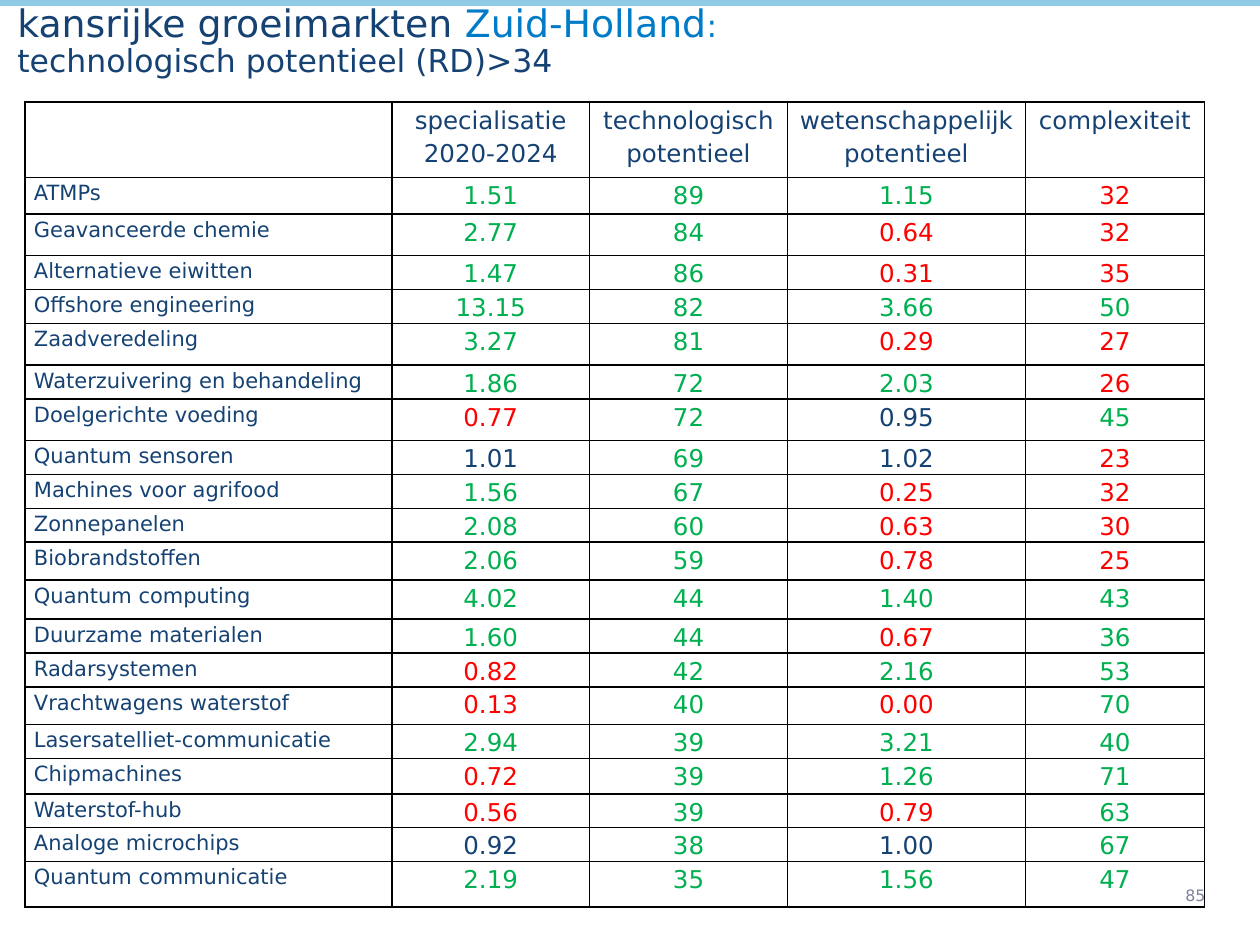
import dataclasses

import pptx
import pptx.dml.color
import pptx.enum.shapes
import pptx.enum.text
import pptx.oxml
import pptx.oxml.ns
import pptx.util

Inches = pptx.util.Inches
Pt = pptx.util.Pt
ALIGN = pptx.enum.text.PP_ALIGN
ANCHOR = pptx.enum.text.MSO_ANCHOR


@dataclasses.dataclass(frozen=True)
class Theme:
    font: str = "DejaVu Sans"
    navy: str = "154273"
    blue: str = "007BC7"
    sky: str = "8FCAE7"
    green: str = "00B050"
    red: str = "FF0000"
    grey: str = "7A839A"
    border: str = "000000"
    title: float = 21.6
    subtitle: float = 18
    value: float = 14
    label: float = 12
    page: float = 9


HEADERS = ["", "specialisatie 2020-2024", "technologisch potentieel",
           "wetenschappelijk potentieel", "complexiteit"]
MARKETS = [
    ("ATMPs", "1.51", "89", "1.15", "32"),
    ("Geavanceerde chemie", "2.77", "84", "0.64", "32"),
    ("Alternatieve eiwitten", "1.47", "86", "0.31", "35"),
    ("Offshore engineering", "13.15", "82", "3.66", "50"),
    ("Zaadveredeling", "3.27", "81", "0.29", "27"),
    ("Waterzuivering en behandeling", "1.86", "72", "2.03", "26"),
    ("Doelgerichte voeding", "0.77", "72", "0.95", "45"),
    ("Quantum sensoren", "1.01", "69", "1.02", "23"),
    ("Machines voor agrifood", "1.56", "67", "0.25", "32"),
    ("Zonnepanelen", "2.08", "60", "0.63", "30"),
    ("Biobrandstoffen", "2.06", "59", "0.78", "25"),
    ("Quantum computing", "4.02", "44", "1.40", "43"),
    ("Duurzame materialen", "1.60", "44", "0.67", "36"),
    ("Radarsystemen", "0.82", "42", "2.16", "53"),
    ("Vrachtwagens waterstof", "0.13", "40", "0.00", "70"),
    ("Lasersatelliet-communicatie", "2.94", "39", "3.21", "40"),
    ("Chipmachines", "0.72", "39", "1.26", "71"),
    ("Waterstof-hub", "0.56", "39", "0.79", "63"),
    ("Analoge microchips", "0.92", "38", "1.00", "67"),
    ("Quantum communicatie", "2.19", "35", "1.56", "47"),
]
COL_WIDTHS = [2.91, 1.57, 1.57, 1.89, 1.42]
ROW_HEIGHTS = [0.6, 0.29, 0.33, 0.25, 0.27, 0.33, 0.27, 0.33, 0.22, 0.15, 0.26,
               0.3, 0.31, 0.16, 0.27, 0.3, 0.27, 0.28, 0.12, 0.17, 0.36]
# Per value column: red up to the first bound, green above the second
BOUNDS = [(0.9, 1.1), (34, 34), (0.9, 1.1), (35, 35)]


class SlideBuilder:
    def __init__(self, slide, theme):
        self.s = slide
        self.theme = theme

    def style(self, r, size, color):
        r.font.name = self.theme.font
        r.font.size = Pt(size)
        r.font.color.rgb = pptx.dml.color.RGBColor.from_string(color)

    def bar(self, left, top, width, height, color):
        sp = self.s.shapes.add_shape(
            pptx.enum.shapes.MSO_SHAPE.RECTANGLE,
            Inches(left), Inches(top), Inches(width), Inches(height))
        rgb = pptx.dml.color.RGBColor.from_string(color)
        sp.shadow.inherit = False
        sp.fill.solid()
        sp.fill.fore_color.rgb = rgb
        sp.line.color.rgb = rgb
        sp.line.width = Pt(0.75)

    def text(self, left, top, width, height, lines, anchor, spacing=1.0):
        """Add one paragraph; each line is a list of (text, size, color)."""
        sp = self.s.shapes.add_textbox(
            Inches(left), Inches(top), Inches(width), Inches(height))
        tf = sp.text_frame
        tf.word_wrap = True
        tf.vertical_anchor = anchor
        p = tf.paragraphs[0]
        p.line_spacing = spacing
        for i, line in enumerate(lines):
            if i:
                p.add_line_break()
            for text, size, color in line:
                r = p.add_run()
                r.text = text
                self.style(r, size, color)

    def score_color(self, value, bounds):
        low, high = bounds
        if value > high:
            return self.theme.green
        return self.theme.red if value <= low else self.theme.navy

    def borders(self, cell):
        tc_pr = cell._tc.get_or_add_tcPr()
        for side in ("lnL", "lnR", "lnT", "lnB"):
            tc_pr.append(pptx.oxml.parse_xml(
                f'<a:{side} {pptx.oxml.ns.nsdecls("a")} w="{Pt(1)}">'
                f'<a:solidFill><a:srgbClr val="{self.theme.border}"/></a:solidFill>'
                f'</a:{side}>'))

    def cell(self, cell, text, size, color, align):
        self.borders(cell)
        cell.fill.background()
        cell.margin_left = cell.margin_right = Inches(0.07)
        cell.margin_top = cell.margin_bottom = 0
        cell.text_frame.text = text
        p = cell.text_frame.paragraphs[0]
        p.alignment = align
        p.line_spacing = 1.15
        p.space_after = Pt(10)
        for r in p.runs:
            self.style(r, size, color)

    def table(self, left, top, height):
        t = self.theme
        rows = [HEADERS, *MARKETS]
        frame = self.s.shapes.add_table(
            len(rows), len(HEADERS), Inches(left), Inches(top),
            Inches(sum(COL_WIDTHS)), Inches(height))
        table = frame.table
        table.first_row = table.horz_banding = False
        for column, width in zip(table.columns, COL_WIDTHS):
            column.width = Inches(width)
        for row, row_height in zip(table.rows, ROW_HEIGHTS):
            row.height = Inches(row_height)
        frame.height = Inches(height)
        for i, row in enumerate(rows):
            for j, text in enumerate(row):
                size, color, align = t.value, t.navy, ALIGN.CENTER
                if j == 0:
                    size, align = t.label, ALIGN.LEFT
                elif i > 0:
                    color = self.score_color(float(text), BOUNDS[j - 1])
                self.cell(table.cell(i, j), text, size, color, align)


def main():
    prs = pptx.Presentation()
    prs.slide_width, prs.slide_height = Inches(10), Inches(7.5)
    t = Theme()
    builder = SlideBuilder(prs.slides.add_slide(prs.slide_layouts[6]), t)
    builder.bar(0, 0, 10, 0.04, t.sky)
    title = [
        [("kansrijke groeimarkten ", t.title, t.navy),
         ("Zuid-Holland", t.title, t.blue), (":", t.subtitle, t.blue)],
        [("technologisch potentieel (RD)>34", t.subtitle, t.navy)],
    ]
    builder.text(0.04, 0.36, 9.96, 0.32, title, ANCHOR.BOTTOM, 0.9)
    builder.table(0.2, 0.81, 6.25)
    builder.text(9.31, 6.9, 0.68, 0.41, [[("85", t.page, t.grey)]], ANCHOR.MIDDLE)
    prs.save("out.pptx")


if __name__ == "__main__":
    main()
